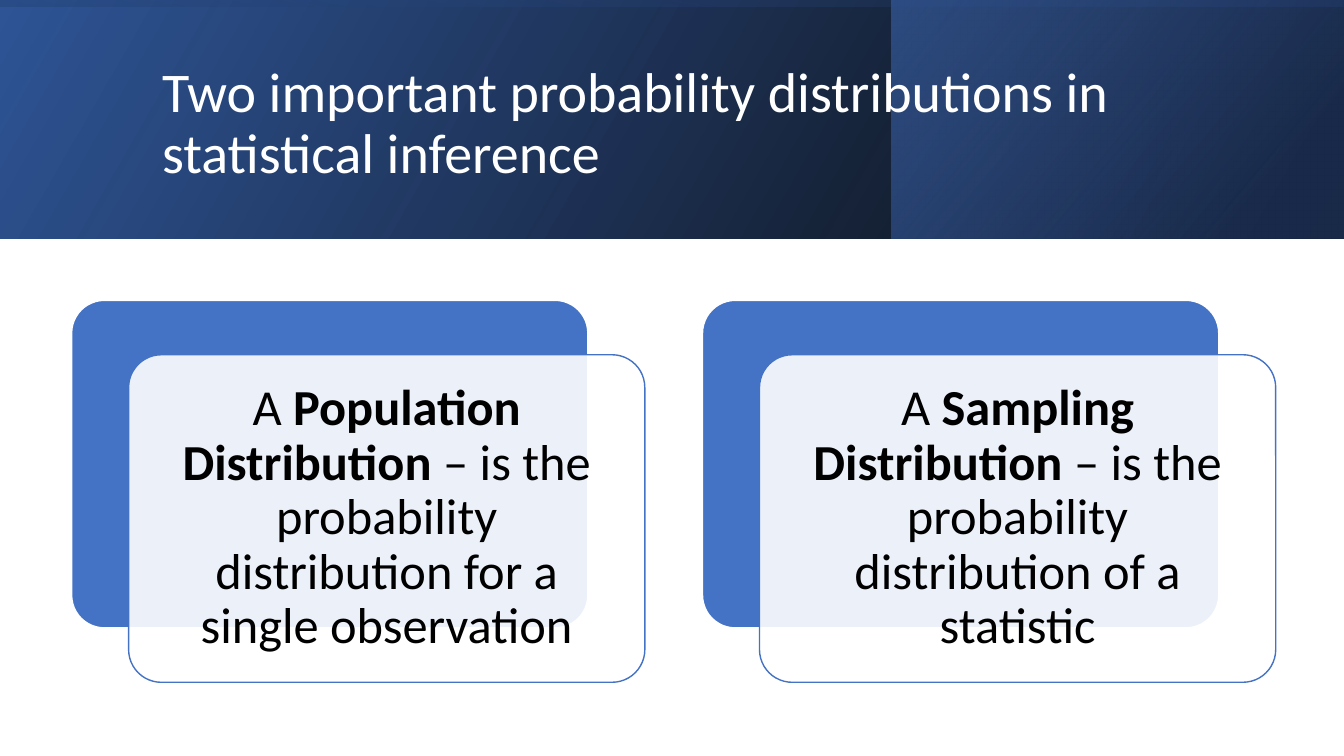
from lxml.etree import SubElement
from pptx import Presentation
from pptx.dml.color import RGBColor
from pptx.enum.shapes import MSO_SHAPE
from pptx.enum.text import MSO_ANCHOR, PP_ALIGN
from pptx.oxml import parse_xml
from pptx.oxml.ns import nsdecls, qn
from pptx.util import Inches, Pt

SLIDE_WIDTH, SLIDE_HEIGHT = Inches(13.33), Inches(7.5)
BLUE, WHITE, BLACK = "4472C4", "FFFFFF", "000000"

BAND_HEIGHT = 31.6
BANDS = [
    ((0, 0, 100, BAND_HEIGHT), 0, 330, [(0, BLACK, 96), (100, "2F5597", 100)]),
    ((66.35, 0, 33.65, BAND_HEIGHT), 0, 320, [(19, "203864", 68), (100, BLUE, 48)]),
    ((0, 0, 100, BAND_HEIGHT), 270, 350, [(23, "2F5597", 16), (99, BLACK, 45)]),
]

TITLE = "Two important probability distributions in statistical inference"
TITLE_BOX = (11.33, 5.07, 79.74, 22.93)

CARDS = [
    ("Population Distribution ", "– is the probability distribution for a single observation"),
    ("Sampling Distribution ", "– is the probability distribution of a statistic"),
]
CARD_LEFT, CARD_TOP, CARD_STEP = 5.33, 39.73, 46.94
CARD_WIDTH, CARD_HEIGHT = 38.41, 43.33
FRONT_RIGHT, FRONT_DOWN = 4.24, 7.2
INSET_X, INSET_Y = 0.71, 1.27
TEXT_MARGINS = dict.fromkeys(
    ["margin_left", "margin_right", "margin_top", "margin_bottom"], Inches(0.15))


def color(hex_string):
    return RGBColor.from_string(hex_string)


def apply(target, values):
    for name, value in values.items():
        setattr(target, name, value)


def place(box):
    left, top, width, height = box
    return (int(SLIDE_WIDTH * left / 100), int(SLIDE_HEIGHT * top / 100),
            int(SLIDE_WIDTH * width / 100), int(SLIDE_HEIGHT * height / 100))


def add_alpha(color_element, percent):
    SubElement(color_element, qn("a:alpha")).set("val", str(percent * 1000))


def gradient(angle, stops):
    fill = parse_xml(f'<a:gradFill {nsdecls("a")} rotWithShape="1"/>')
    stop_list = SubElement(fill, qn("a:gsLst"))
    for position, hex_string, opacity in stops:
        stop = SubElement(stop_list, qn("a:gs"), pos=str(position * 1000))
        add_alpha(SubElement(stop, qn("a:srgbClr"), val=hex_string), opacity)
    SubElement(fill, qn("a:lin"), ang=str(angle * 60000), scaled="0")
    return fill


def add_band(slide, box, rotation, angle, stops):
    left, top, width, height = place(box)
    if rotation == 270:
        shift = (width - height) // 2
        left, top, width, height = left + shift, top - shift, height, width
    band = slide.shapes.add_shape(MSO_SHAPE.RECTANGLE, left, top, width, height)
    apply(band, {"rotation": rotation})
    apply(band.shadow, {"inherit": False})
    band.line.fill.background()
    properties = band._element.spPr
    properties.find(qn("a:xfrm")).set("flipH", "1")
    properties.find(qn("a:prstGeom")).addnext(gradient(angle, stops))


def add_panel(slide, box, fill_color, line_color, opacity=100):
    panel = slide.shapes.add_shape(MSO_SHAPE.ROUNDED_RECTANGLE, *place(box))
    panel.adjustments[0] = 0.1
    apply(panel.shadow, {"inherit": False})
    panel.fill.solid()
    apply(panel.fill.fore_color, {"rgb": color(fill_color)})
    apply(panel.line.fill, {})
    apply(panel.line, {"width": Pt(1)})
    apply(panel.line.color, {"rgb": color(line_color)})
    if opacity < 100:
        fill = panel._element.spPr.find(qn("a:solidFill"))
        add_alpha(fill[0], opacity)


def add_text(slide, box, pieces, size, text_color, alignment, margins):
    frame = slide.shapes.add_textbox(*place(box)).text_frame
    apply(frame, {"word_wrap": True, "vertical_anchor": MSO_ANCHOR.MIDDLE, **margins})
    paragraph = frame.paragraphs[0]
    apply(paragraph, {"alignment": alignment, "line_spacing": 0.9})
    for words, bold in pieces:
        run = paragraph.add_run()
        run.text = words
        apply(run.font, {"name": "Calibri", "size": Pt(size), "bold": bold})
        apply(run.font.color, {"rgb": color(text_color)})


def add_card(slide, left, term, definition):
    front_left, front_top = left + FRONT_RIGHT, CARD_TOP + FRONT_DOWN
    add_panel(slide, (left, CARD_TOP, CARD_WIDTH, CARD_HEIGHT), BLUE, WHITE)
    add_panel(slide, (front_left, front_top, CARD_WIDTH, CARD_HEIGHT), WHITE, BLUE, 90)
    text_box = (front_left + INSET_X, front_top + INSET_Y,
                CARD_WIDTH - 2 * INSET_X, CARD_HEIGHT - 2 * INSET_Y)
    pieces = [("A ", False), (term, True), (definition, False)]
    add_text(slide, text_box, pieces, 36, BLACK, PP_ALIGN.CENTER, TEXT_MARGINS)


def main():
    deck = Presentation()
    apply(deck, {"slide_width": SLIDE_WIDTH, "slide_height": SLIDE_HEIGHT})
    slide = deck.slides.add_slide(deck.slide_layouts[6])
    for band in BANDS:
        add_band(slide, *band)
    add_text(slide, TITLE_BOX, [(TITLE, False)], 40, WHITE, PP_ALIGN.LEFT, {})
    for column, (term, definition) in enumerate(CARDS):
        add_card(slide, CARD_LEFT + column * CARD_STEP, term, definition)
    deck.save("out.pptx")


if __name__ == "__main__":
    main()
